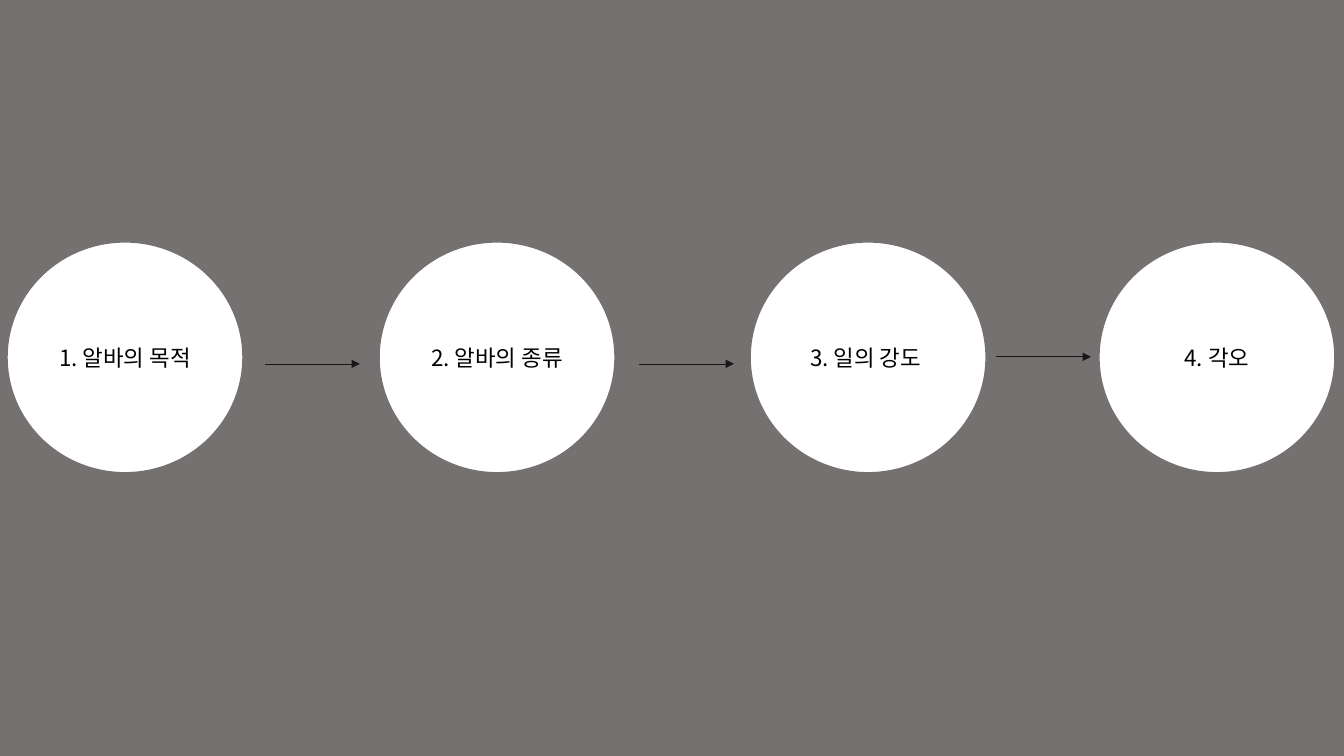
from dataclasses import dataclass

from lxml.etree import SubElement
from pptx import Presentation
from pptx.dml.color import RGBColor
from pptx.enum.shapes import MSO_CONNECTOR, MSO_SHAPE
from pptx.enum.text import MSO_ANCHOR, PP_ALIGN
from pptx.oxml.ns import qn
from pptx.util import Pt

EMU_PER_PX = 9144


@dataclass(frozen=True)
class Theme:
    background: str = "767171"
    circle: str = "FFFFFF"
    text: str = "000000"
    arrow: str = "181717"
    font: str = "Noto Sans CJK KR"
    text_size: float = 16
    outline_width: float = 1
    arrow_width: float = 0.5


THEME = Theme()
CIRCLE_WIDTH = 234
CIRCLE_HEIGHT = 229
ARROW_LENGTH = 94
STEPS = [
    ("1. 알바의 목적", 0),
    ("2. 알바의 종류", 369),
    ("3. 일의 강도 ", 737),
    ("4. 각오", 1083),
]
ARROWS = [(256, 121), (627, 121), (981, 114)]


def px(length):
    return length * EMU_PER_PX


def color(value):
    return RGBColor.from_string(value)


def write_text(shape, text, *, size, font, fill, align):
    frame = shape.text_frame
    frame.word_wrap = True
    frame.vertical_anchor = MSO_ANCHOR.MIDDLE
    paragraph = frame.paragraphs[0]
    paragraph.alignment = align
    run = paragraph.add_run()
    run.text = text
    run.font.size = Pt(size)
    run.font.name = font
    run.font.color.rgb = color(fill)
    SubElement(run.font._element, qn("a:ea"), typeface=font)


def add_step(slide, text, left, top):
    circle = slide.shapes.add_shape(
        MSO_SHAPE.OVAL, px(left), px(top), px(CIRCLE_WIDTH), px(CIRCLE_HEIGHT)
    )
    circle.shadow.inherit = False
    circle.fill.solid()
    circle.fill.fore_color.rgb = color(THEME.circle)
    circle.line.color.rgb = color(THEME.background)
    circle.line.width = Pt(THEME.outline_width)
    write_text(circle, text, size=THEME.text_size, font=THEME.font,
               fill=THEME.text, align=PP_ALIGN.CENTER)


def add_arrow(slide, left, top):
    arrow = slide.shapes.add_connector(
        MSO_CONNECTOR.STRAIGHT, px(left), px(top), px(left + ARROW_LENGTH), px(top)
    )
    arrow.line.color.rgb = color(THEME.arrow)
    arrow.line.width = Pt(THEME.arrow_width)
    SubElement(arrow.line._get_or_add_ln(), qn("a:tailEnd"), type="triangle")
    SubElement(arrow._element.spPr, qn("a:effectLst"))


def add_process(slide, left, top):
    for text, offset in STEPS:
        add_step(slide, text, left + offset, top)
    for across, down in ARROWS:
        add_arrow(slide, left + across, top + down)


def main():
    presentation = Presentation()
    presentation.slide_width = px(1333)
    presentation.slide_height = px(750)
    slide = presentation.slides.add_slide(presentation.slide_layouts[6])
    slide.background.fill.solid()
    slide.background.fill.fore_color.rgb = color(THEME.background)
    add_process(slide, 7, 240)
    presentation.save("out.pptx")


if __name__ == "__main__":
    main()
